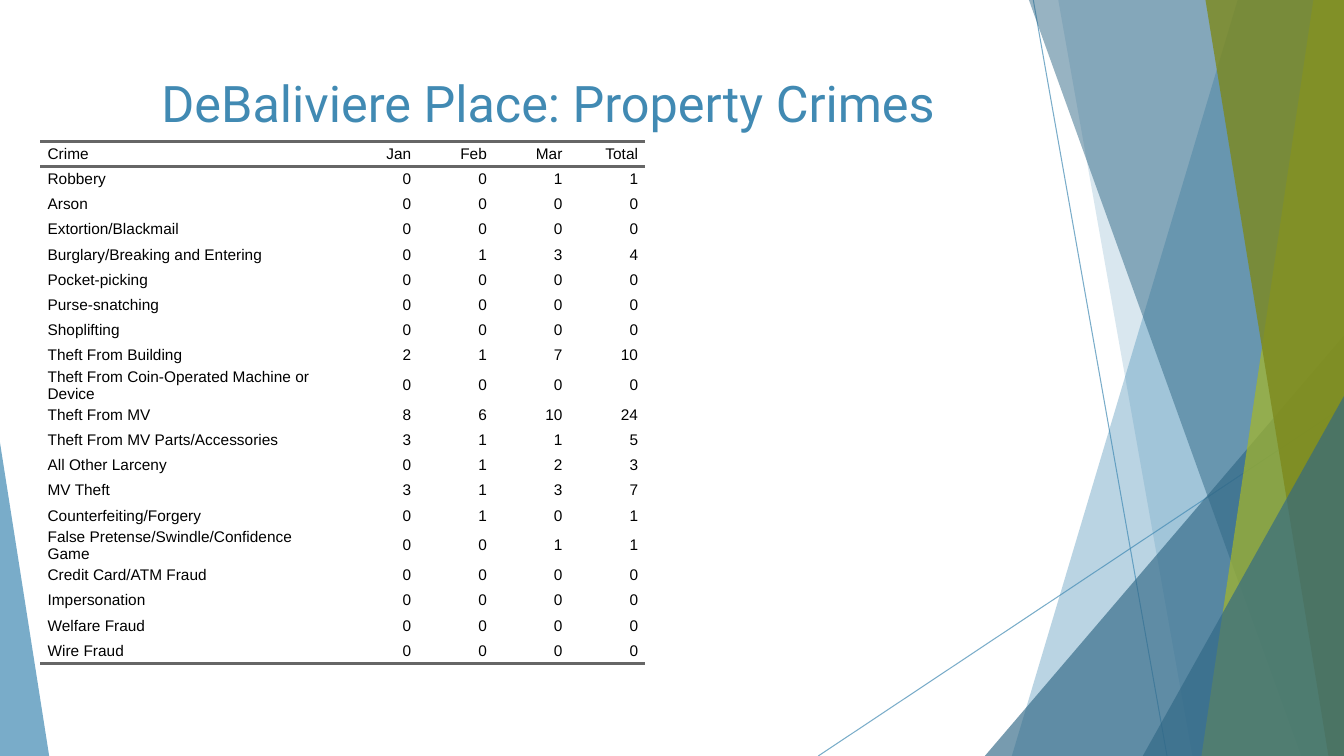
from lxml import etree
from pptx import Presentation
from pptx.dml.color import RGBColor
from pptx.enum.shapes import MSO_CONNECTOR, MSO_SHAPE
from pptx.enum.text import MSO_ANCHOR, PP_ALIGN
from pptx.oxml.ns import qn
from pptx.util import Cm, Pt

LEFT, CENTER, RIGHT = PP_ALIGN.LEFT, PP_ALIGN.CENTER, PP_ALIGN.RIGHT
TOP, MIDDLE = MSO_ANCHOR.TOP, MSO_ANCHOR.MIDDLE
STRAIGHT, TRIANGLE = MSO_CONNECTOR.STRAIGHT, MSO_SHAPE.ISOSCELES_TRIANGLE

# Content
TITLE = "DeBaliviere Place: Property Crimes"
HEAD = ("Crime", "Jan", "Feb", "Mar", "Total")
CRIMES = [
    ("Robbery", 0, 0, 1, 1),
    ("Arson", 0, 0, 0, 0),
    ("Extortion/Blackmail", 0, 0, 0, 0),
    ("Burglary/Breaking and Entering", 0, 1, 3, 4),
    ("Pocket-picking", 0, 0, 0, 0),
    ("Purse-snatching", 0, 0, 0, 0),
    ("Shoplifting", 0, 0, 0, 0),
    ("Theft From Building", 2, 1, 7, 10),
    ("Theft From Coin-Operated Machine or Device", 0, 0, 0, 0),
    ("Theft From MV", 8, 6, 10, 24),
    ("Theft From MV Parts/Accessories", 3, 1, 1, 5),
    ("All Other Larceny", 0, 1, 2, 3),
    ("MV Theft", 3, 1, 3, 7),
    ("Counterfeiting/Forgery", 0, 1, 0, 1),
    ("False Pretense/Swindle/Confidence Game", 0, 0, 1, 1),
    ("Credit Card/ATM Fraud", 0, 0, 0, 0),
    ("Impersonation", 0, 0, 0, 0),
    ("Welfare Fraud", 0, 0, 0, 0),
    ("Wire Fraud", 0, 0, 0, 0),
]
COLORS = {"blue": "418AB3", "navy": "316886", "lime": "A6B727",
          "olive": "7D891D", "rule": "666666", "text": "000000"}

# Layout in centimetres
WIDE, HIGH = 33.87, 19.05
LINES = [(26.04, 0, 29.41, HIGH), (WIDE, 10.24, 20.62, HIGH)]
# Bands run to the right edge: top x, bottom x, colour, opacity
# Wedges stand on the bottom edge: left, top, width, peak, colour, opacity
DECOR = [
    ("band", 31.19, 25.5, "blue", 36),
    ("band", 26.67, 30.05, "blue", 20),
    ("wedge", 24.82, 8.46, 9.05, 1, "navy", 66),
    ("band", 25.93, 32.79, "navy", 50),
    ("band", 33.1, 30.28, "lime", 70),
    ("band", 30.38, 33.48, "olive", 80),
    ("wedge", 28.8, 9.98, 5.07, 1, "navy", 66),
    ("wedge", 0, 11.15, 1.24, 0, "blue", 70),
]
COLS = [7.62] + [1.905] * 4
ROW = 0.635
PAD = 0.18
NO_STYLE = "{2D5ABB26-0587-4C30-8999-92F81FD0307C}"

prs = Presentation()
prs.slide_width, prs.slide_height = Cm(WIDE), Cm(HIGH)
slide = prs.slides.add_slide(prs.slide_layouts[6])
shapes = slide.shapes


def rgb(name):
    return RGBColor.from_string(COLORS[name])


def fade(fill, alpha):
    color = fill._xPr.find(qn("a:solidFill"))[0]
    etree.SubElement(color, qn("a:alpha"), val=str(alpha * 1000))


def paint(shape, color, alpha):
    shape.shadow.inherit = False
    shape.fill.solid()
    shape.fill.fore_color.rgb = rgb(color)
    fade(shape.fill, alpha)
    shape.line.fill.background()


def write(frame, text, size=11, font="Arial", color="text", align=LEFT):
    frame.word_wrap = True
    para = frame.paragraphs[0]
    para.alignment = align
    run = para.add_run()
    run.text = text
    run.font.size, run.font.name = Pt(size), font
    run.font.color.rgb = rgb(color)


def band(top, base, color, alpha):
    pen = shapes.build_freeform(Cm(top), 0)
    pen.add_line_segments([(Cm(WIDE), 0), (Cm(WIDE), Cm(HIGH)),
                           (Cm(base), Cm(HIGH))], close=True)
    paint(pen.convert_to_shape(), color, alpha)


def wedge(left, top, width, peak, color, alpha):
    shape = shapes.add_shape(TRIANGLE, Cm(left), Cm(top), Cm(width), Cm(HIGH - top))
    shape.adjustments[0] = peak
    paint(shape, color, alpha)


def rule(cell, side):
    props = cell._tc.get_or_add_tcPr()
    line = etree.Element(qn("a:" + side), w=str(Pt(2)))
    fill = etree.SubElement(line, qn("a:solidFill"))
    etree.SubElement(fill, qn("a:srgbClr"), val=COLORS["rule"])
    spot = len(props.findall(qn("a:lnT")))
    props.insert(spot, line)


# Thin lines
for x1, y1, x2, y2 in LINES:
    line = shapes.add_connector(STRAIGHT, Cm(x1), Cm(y1), Cm(x2), Cm(y2))
    line.line.width = Pt(0.75)
    line.line.color.rgb = rgb("blue")
    fade(line.line.fill, 70)
    etree.SubElement(line._element.spPr, qn("a:effectLst"))

# Facets
DRAW = {"band": band, "wedge": wedge}
for kind, *spec_vals in DECOR:
    DRAW[kind](*spec_vals)

# Crime table
rows = [HEAD] + CRIMES
frame = shapes.add_table(len(rows), len(COLS), Cm(1.02), Cm(3.56),
                         Cm(sum(COLS)), Cm(ROW * len(rows)))
table = frame.table
table.first_row = table.horz_banding = False
table._tbl.tblPr.find(qn("a:tableStyleId")).text = NO_STYLE
for col, width in zip(table.columns, COLS):
    col.width = Cm(width)
for r, row in enumerate(rows):
    table.rows[r].height = Cm(ROW)
    for c, value in enumerate(row):
        cell = table.cell(r, c)
        cell.margin_left = cell.margin_right = Cm(PAD)
        cell.margin_top = cell.margin_bottom = 0
        cell.vertical_anchor = MIDDLE
        cell.fill.background()
        write(cell.text_frame, str(value), align=RIGHT if c else LEFT)
        if r == 0:
            rule(cell, "lnT")
        if r in (0, len(rows) - 1):
            rule(cell, "lnB")

# Title
box = shapes.add_textbox(Cm(1.88), Cm(1.7), Cm(23.88), Cm(3.66))
box.text_frame.vertical_anchor = TOP
write(box.text_frame, TITLE, size=36, font="Roboto", color="blue", align=CENTER)

prs.save("out.pptx")
